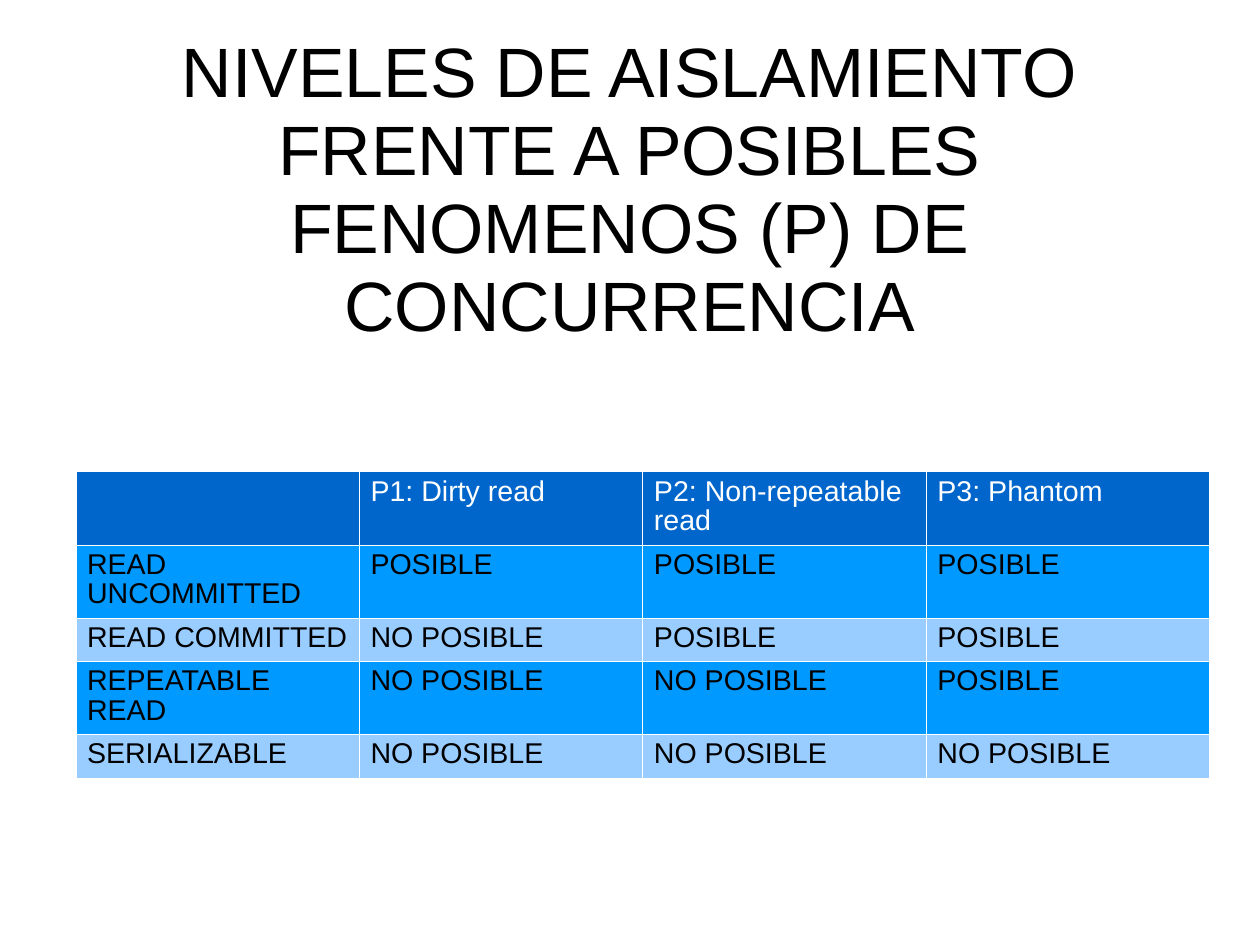
import lxml.etree
import pptx
import pptx.dml.color
import pptx.enum.text
import pptx.oxml.ns
import pptx.util

BLACK = pptx.dml.color.RGBColor(0x00, 0x00, 0x00)
WHITE = pptx.dml.color.RGBColor(0xFF, 0xFF, 0xFF)
HEADER_BLUE = pptx.dml.color.RGBColor(0x00, 0x66, 0xCC)
STRONG_BLUE = pptx.dml.color.RGBColor(0x00, 0x99, 0xFF)
LIGHT_BLUE = pptx.dml.color.RGBColor(0x99, 0xCC, 0xFF)

SLIDE_WIDTH = pptx.util.Pt(793.75)
SLIDE_HEIGHT = pptx.util.Pt(595.25)
TITLE_PERCENT = (5, 3.45, 90, 33)
TABLE_PERCENT = (6, 49.9, 90, 32.4)
ROW_HEIGHTS = [0.64, 0.64, 0.38, 0.64, 0.38]
BORDER_WIDTH = pptx.util.Pt(0.06)
LINE_SPACING = 0.93

TITLE = "NIVELES DE AISLAMIENTO FRENTE A POSIBLES FENOMENOS (P) DE CONCURRENCIA"
ISOLATION_LEVELS = [
    ["", "P1: Dirty read", "P2: Non-repeatable read", "P3: Phantom"],
    ["READ UNCOMMITTED", "POSIBLE", "POSIBLE", "POSIBLE"],
    ["READ COMMITTED", "NO POSIBLE", "POSIBLE", "POSIBLE"],
    ["REPEATABLE READ", "NO POSIBLE", "NO POSIBLE", "POSIBLE"],
    ["SERIALIZABLE", "NO POSIBLE", "NO POSIBLE", "NO POSIBLE"],
]


def apply_format(target, values):
    """Set every attribute in values on target."""
    for name, value in values.items():
        setattr(target, name, value)


def place_box(percentages):
    """Turn percentages of the slide into a dict of lengths."""
    sizes = (SLIDE_WIDTH, SLIDE_HEIGHT) * 2
    lengths = [round(share * size / 100) for share, size in zip(percentages, sizes)]
    return dict(zip(("left", "top", "width", "height"), lengths))


def write_text(text_frame, text, size, color, alignment):
    """Write one formatted paragraph into a text frame."""
    text_frame.text = text
    paragraph = text_frame.paragraphs[0]
    apply_format(paragraph, {"line_spacing": LINE_SPACING, "alignment": alignment})
    for run in paragraph.runs:
        apply_format(run.font, {"name": "Arial", "size": pptx.util.Pt(size), "bold": False})
        run.font.color.rgb = color


def add_title(slide, box):
    """Place the centred title in its box."""
    title = slide.shapes.title
    apply_format(title, box)
    apply_format(title.text_frame, {
        "margin_left": 0,
        "margin_top": pptx.util.Inches(0.04),
        "margin_right": 0,
        "margin_bottom": 0,
        "word_wrap": True,
        "auto_size": pptx.enum.text.MSO_AUTO_SIZE.NONE,
        "vertical_anchor": pptx.enum.text.MSO_ANCHOR.MIDDLE,
    })
    write_text(title.text_frame, TITLE, 44, BLACK, pptx.enum.text.PP_ALIGN.CENTER)


def add_borders(cell):
    """Draw thin white borders on all sides of a cell."""
    properties = cell._tc.get_or_add_tcPr()
    qualify = pptx.oxml.ns.qn
    for position, side in enumerate(("a:lnL", "a:lnR", "a:lnT", "a:lnB")):
        line = lxml.etree.Element(qualify(side), w=str(int(BORDER_WIDTH)))
        fill = lxml.etree.SubElement(line, qualify("a:solidFill"))
        lxml.etree.SubElement(fill, qualify("a:srgbClr"), val=str(WHITE))
        properties.insert(position, line)


def add_isolation_table(slide, box):
    """Fill the box with isolation levels against phenomena."""
    column_count = len(ISOLATION_LEVELS[0])
    table = slide.shapes.add_table(len(ISOLATION_LEVELS), column_count, **box).table
    for row_index, texts in enumerate(ISOLATION_LEVELS):
        table.rows[row_index].height = round(
            box["height"] * ROW_HEIGHTS[row_index] / sum(ROW_HEIGHTS))
        band = STRONG_BLUE if row_index % 2 else LIGHT_BLUE
        fill, color = (band, BLACK) if row_index else (HEADER_BLUE, WHITE)
        for column_index, text in enumerate(texts):
            cell = table.cell(row_index, column_index)
            apply_format(cell, {
                "margin_left": pptx.util.Inches(0.1),
                "margin_top": pptx.util.Inches(0.05),
                "margin_right": pptx.util.Inches(0.1),
                "margin_bottom": pptx.util.Inches(0.05),
            })
            cell.fill.solid()
            cell.fill.fore_color.rgb = fill
            add_borders(cell)
            write_text(cell.text_frame, text, 18, color, pptx.enum.text.PP_ALIGN.LEFT)


def main():
    """Build and save the slide."""
    presentation = pptx.Presentation()
    apply_format(presentation, {"slide_width": SLIDE_WIDTH, "slide_height": SLIDE_HEIGHT})
    slide = presentation.slides.add_slide(presentation.slide_layouts.get_by_name("Title Only"))
    add_title(slide, place_box(TITLE_PERCENT))
    add_isolation_table(slide, place_box(TABLE_PERCENT))
    presentation.save("out.pptx")


if __name__ == "__main__":
    main()
